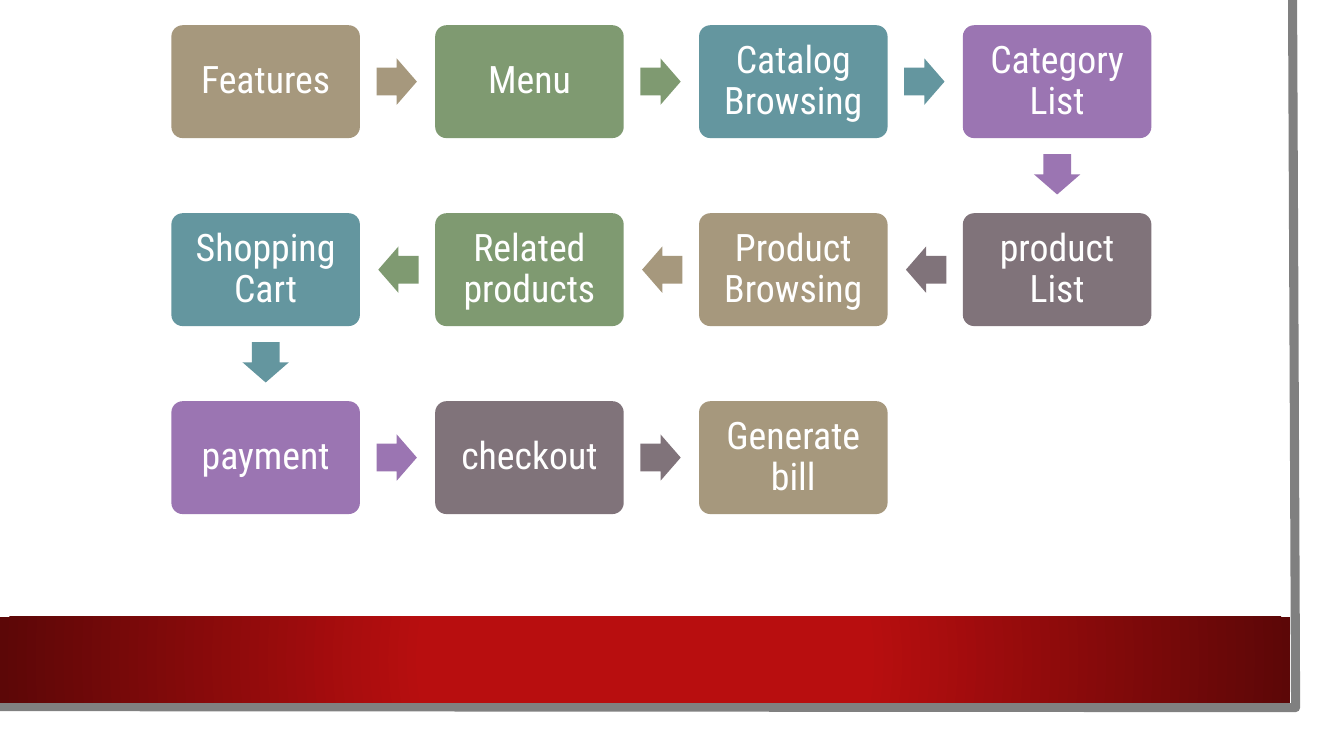
"""Build the shop flow slide: a winding chain of eleven steps over a red footer band."""
from lxml import etree
from pptx import Presentation
from pptx import util as u
from pptx.dml.color import RGBColor
from pptx.enum import shapes, text
from pptx.oxml import ns

WHITE = RGBColor(0xFF, 0xFF, 0xFF)
EDGE = RGBColor(0x80, 0x80, 0x80)
RED = RGBColor(0xB8, 0x0E, 0x0F)
DARK_RED = RGBColor(0x5C, 0x07, 0x07)
TAN = RGBColor(0xA6, 0x98, 0x7D)
GREEN = RGBColor(0x7F, 0x9A, 0x71)
TEAL = RGBColor(0x64, 0x96, 0x9F)
PURPLE = RGBColor(0x9B, 0x75, 0xB2)
GREY = RGBColor(0x80, 0x73, 0x7A)
PALETTE = [TAN, GREEN, TEAL, PURPLE, GREY]

STEPS = ["Features", "Menu", "Catalog Browsing", "Category List",
         "product List", "Product Browsing", "Related products", "Shopping Cart",
         "payment", "checkout", "Generate bill"]
COLS = 4
LEFT, TOP = 1.7, 0.25
BOX_W, BOX_H = 1.87, 1.12
PITCH_X, PITCH_Y = 7.85 / 3, 1.865
ARROW_W, ARROW_H = 0.4, 0.46
ARROW_DX, ARROW_DY = 1.3, 0.92

prs = Presentation()
prs.slide_width, prs.slide_height = u.Inches(13.33), u.Inches(7.5)
s = prs.slides.add_slide(prs.slide_layouts[6])


def add_block(kind, x, y, w, h, color):
    """Add a borderless shape with a plain fill."""
    sp = s.shapes.add_shape(kind, u.Inches(x), u.Inches(y), u.Inches(w), u.Inches(h))
    sp.shadow.inherit = False
    sp.fill.solid()
    sp.fill.fore_color.rgb = color
    sp.line.fill.background()
    return sp


add_block(shapes.MSO_SHAPE.RECTANGLE, 0, 0, 13.1, 7.27, WHITE)

fb = s.shapes.build_freeform(u.Inches(12.82), 0)
fb.add_line_segments([(u.Inches(12.85), u.Inches(7.02)),
                      (u.Inches(-0.03), u.Inches(7.01))], close=False)
edge = fb.convert_to_shape()
edge.shadow.inherit = False
edge.fill.background()
edge.line.color.rgb = EDGE
edge.line.width = u.Pt(6.5)

band = add_block(shapes.MSO_SHAPE.RECTANGLE, 0, 6.12, 12.8, 0.85, RED)
band.fill.gradient()
for stop, position, color in zip(band.fill.gradient_stops, (0.34, 1), (RED, DARK_RED)):
    stop.position = position
    stop.color.rgb = color
grad = band._element.spPr.find(ns.qn("a:gradFill"))
grad.remove(grad.find(ns.qn("a:lin")))
circle = etree.SubElement(grad, ns.qn("a:path"), {"path": "circle"})
etree.SubElement(circle, ns.qn("a:fillToRect"), dict.fromkeys("ltrb", "50000"))

for i, step in enumerate(STEPS):
    row, k = divmod(i, COLS)
    way = -1 if row % 2 else 1
    col = k if way == 1 else COLS - 1 - k
    color = PALETTE[i % len(PALETTE)]
    x, y = LEFT + col * PITCH_X, TOP + row * PITCH_Y

    sp = add_block(shapes.MSO_SHAPE.ROUNDED_RECTANGLE, x, y, BOX_W, BOX_H, color)
    sp.adjustments[0] = 0.1
    tf = sp.text_frame
    tf.word_wrap = True
    tf.vertical_anchor = text.MSO_ANCHOR.MIDDLE
    tf.margin_left = tf.margin_right = tf.margin_top = tf.margin_bottom = u.Inches(0.14)
    tf.text = step
    p = tf.paragraphs[0]
    p.alignment = text.PP_ALIGN.CENTER
    p.line_spacing = 0.9
    r = p.runs[0]
    r.font.name = "Roboto Condensed"
    r.font.size = u.Pt(27)
    r.font.color.rgb = WHITE

    if i == len(STEPS) - 1:
        continue
    if k == COLS - 1:
        dx, dy, turn = 0, ARROW_DY, 90
    else:
        dx, dy, turn = way * ARROW_DX, 0, 0 if way == 1 else 180
    arrow = add_block(shapes.MSO_SHAPE.RIGHT_ARROW,
                      x + (BOX_W - ARROW_W) / 2 + dx, y + (BOX_H - ARROW_H) / 2 + dy,
                      ARROW_W, ARROW_H, color)
    arrow.adjustments[0] = 0.6
    arrow.adjustments[1] = 0.5
    arrow.rotation = turn

prs.save("out.pptx")
